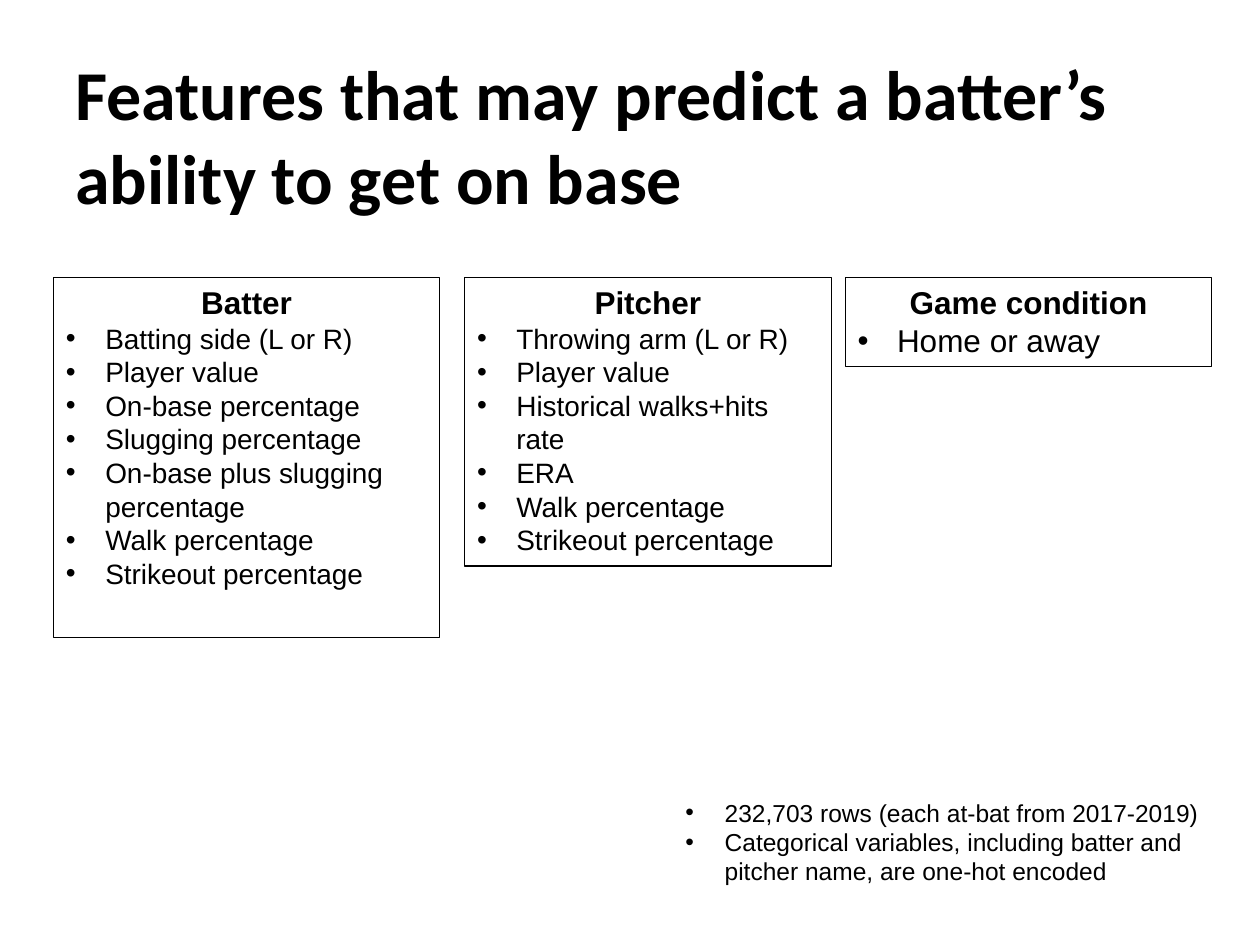
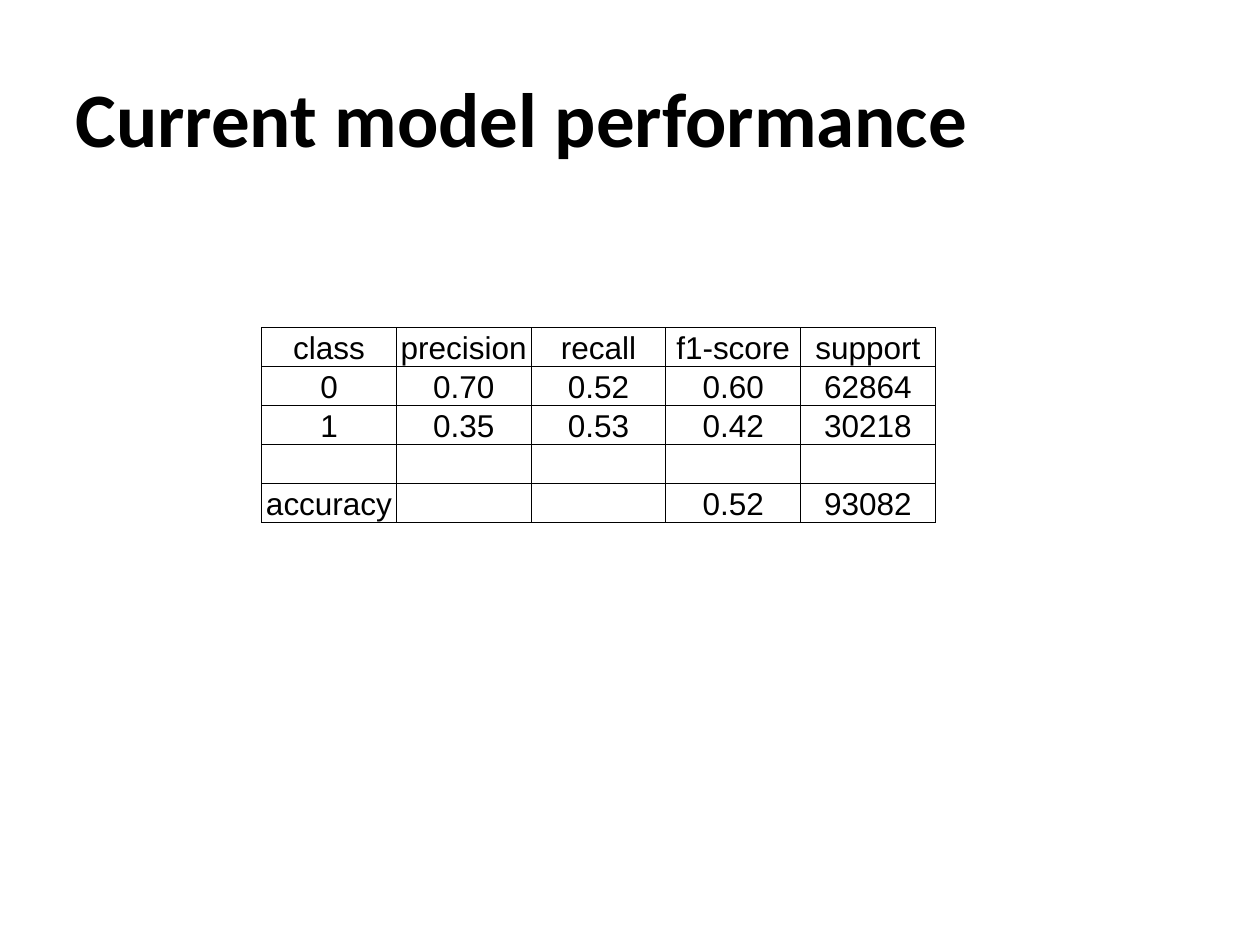
from lxml import etree
from pptx import Presentation
from pptx.dml.color import RGBColor
from pptx.enum import shapes, text
from pptx.oxml import ns
from pptx.util import Pt

BLACK = "000000"


def color(value):
    return RGBColor.from_string(value)


def add_xml(parent, tag, **attrs):
    return etree.SubElement(parent, ns.qn(tag), attrs)


class Deck:
    head_font = "Calibri"
    body_font = "Arial"
    ink = BLACK

    def __init__(self):
        self.prs = Presentation()
        self.prs.slide_width, self.prs.slide_height = Pt(720), Pt(540)
        self.s = None

    def slide(self, title, size, anchor):
        self.s = self.prs.slides.add_slide(self.prs.slide_layouts[6])
        tf = self.text_box(36, 21.6, 648, 90)
        tf.margin_top = tf.margin_bottom = Pt(7.2)
        tf.vertical_anchor = anchor
        self.style(tf.paragraphs[0], title, size, True, self.head_font)

    def style(self, p, content, size, bold=False, font=None):
        p.text = content
        p.font.name = font or self.body_font
        p.font.size = Pt(size)
        p.font.bold = bold
        p.font.color.rgb = color(self.ink)

    def text_box(self, x, y, w, h):
        tf = self.s.shapes.add_textbox(Pt(x), Pt(y), Pt(w), Pt(h)).text_frame
        tf.word_wrap = True
        return tf

    def bullets(self, tf, items, size):
        for item in items:
            p = tf.paragraphs[0] if not tf.text else tf.add_paragraph()
            p.alignment = text.PP_ALIGN.LEFT
            pPr = p._p.get_or_add_pPr()
            pPr.set("marL", str(Pt(22.5)))
            pPr.set("indent", str(Pt(-22.5)))
            add_xml(add_xml(pPr, "a:buClr"), "a:srgbClr", val=self.ink)
            add_xml(pPr, "a:buFont", typeface=self.body_font)
            add_xml(pPr, "a:buChar", char="•")
            self.style(p, item, size)

    def card(self, x, y, w, h, heading, items, size):
        sp = self.s.shapes.add_shape(shapes.MSO_SHAPE.RECTANGLE, Pt(x), Pt(y), Pt(w), Pt(h))
        sp.shadow.inherit = False
        sp.fill.background()
        sp.line.color.rgb = color(self.ink)
        sp.line.width = Pt(0.75)
        tf = sp.text_frame
        tf.word_wrap = True
        tf.vertical_anchor = text.MSO_ANCHOR.TOP
        p = tf.paragraphs[0]
        p.alignment = text.PP_ALIGN.CENTER
        self.style(p, heading, 18, True)
        self.bullets(tf, items, size)

    def note(self, x, y, w, h, items):
        self.bullets(self.text_box(x, y, w, h), items, 14)

    def borders(self, cell):
        tcPr = cell._tc.get_or_add_tcPr()
        for i, side in enumerate("LRTB"):
            ln = add_xml(tcPr, f"a:ln{side}", w=str(Pt(0.5)))
            add_xml(add_xml(ln, "a:solidFill"), "a:srgbClr", val=self.ink)
            tcPr.insert(i, ln)

    def table(self, x, y, col_w, row_h, rows):
        n_rows, n_cols = len(rows), len(rows[0])
        tbl = self.s.shapes.add_table(n_rows, n_cols, Pt(x), Pt(y),
                                      Pt(col_w * n_cols), Pt(row_h * n_rows)).table
        tbl.first_row = tbl.horz_banding = False
        for row in tbl.rows:
            row.height = Pt(row_h)
        for col in tbl.columns:
            col.width = Pt(col_w)
        for cell, value in zip(tbl.iter_cells(), sum(rows, [])):
            cell.fill.background()
            self.borders(cell)
            cell.margin_left = cell.margin_right = cell.margin_top = Pt(0.6)
            cell.margin_bottom = 0
            cell.vertical_anchor = text.MSO_ANCHOR.BOTTOM
            p = cell.text_frame.paragraphs[0]
            p.alignment = text.PP_ALIGN.CENTER
            self.style(p, value, 18)


def main():
    deck = Deck()

    deck.slide("Features that may predict a batter’s ability to get on base", 40,
               text.MSO_ANCHOR.TOP)
    rates = ["Walk percentage", "Strikeout percentage"]
    batter = ["Batting side (L or R)", "Player value", "On-base percentage",
              "Slugging percentage", "On-base plus slugging percentage"] + rates
    pitcher = ["Throwing arm (L or R)", "Player value", "Historical walks+hits rate",
               "ERA"] + rates
    for x, w, h, heading, items, size in [
        (30.6, 220.6, 206, "Batter", batter, 16),
        (265.5, 209.5, 165, "Pitcher", pitcher, 16),
        (483, 209.5, 51, "Game condition", ["Home or away"], 18),
    ]:
        deck.card(x, 158.4, w, h, heading, items, size)
    deck.note(384.5, 452.2, 313.2, 58.3, [
        "232,703 rows (each at-bat from 2017-2019)",
        "Categorical variables, including batter and pitcher name, are one-hot encoded",
    ])

    deck.slide("Current model performance", 44, text.MSO_ANCHOR.MIDDLE)
    deck.table(149.5, 187.2, 77, 21.3, [
        ["class", "precision", "recall", "f1-score", "support"],
        ["0", "0.70", "0.52", "0.60", "62864"],
        ["1", "0.35", "0.53", "0.42", "30218"],
        [""] * 5,
        ["accuracy", "", "", "0.52", "93082"],
    ])

    deck.prs.save("out.pptx")


if __name__ == "__main__":
    main()
